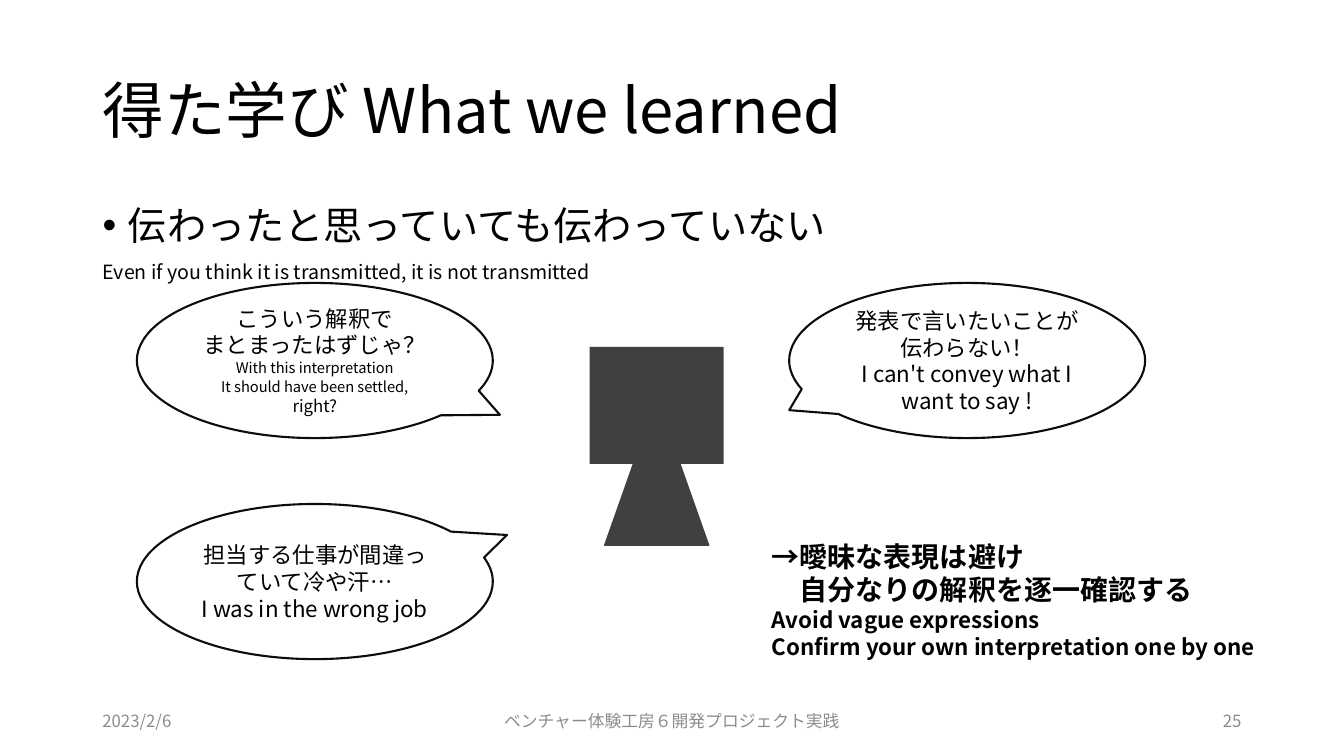
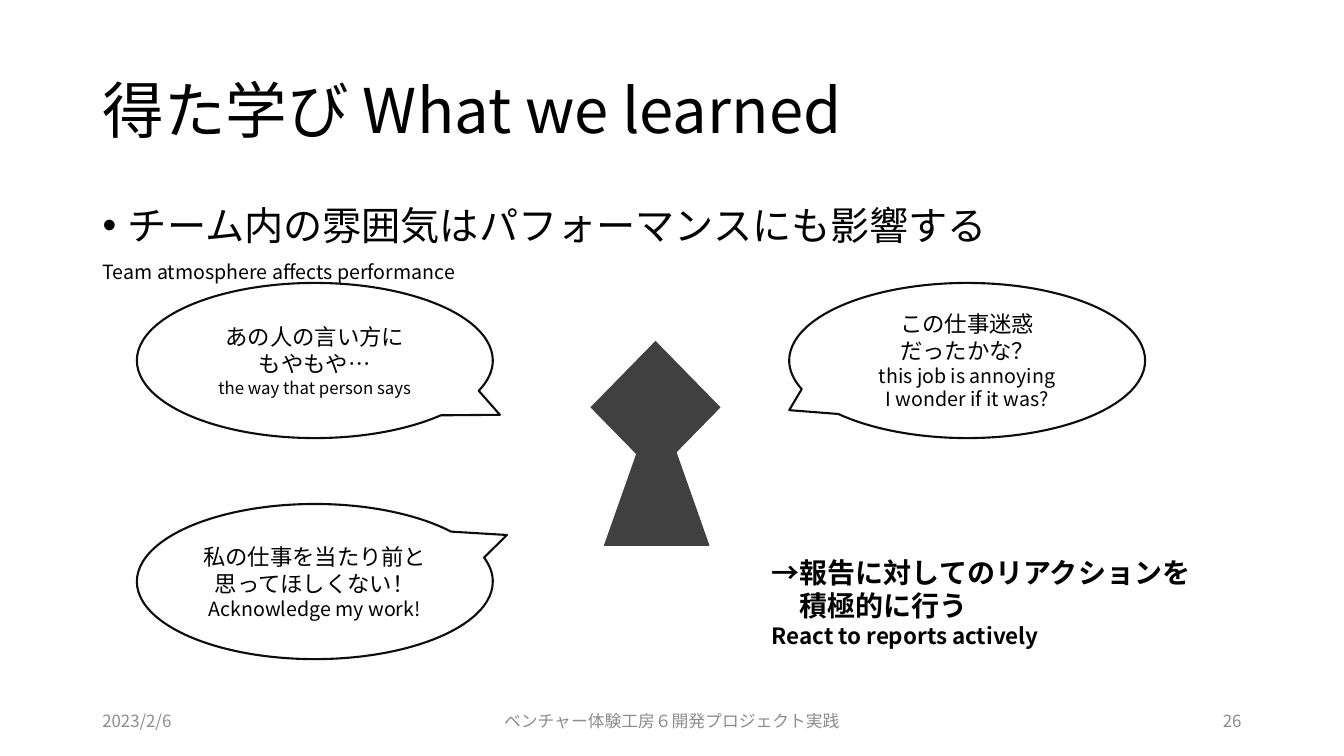
import copy
from dataclasses import dataclass

import pptx
import pptx.dml.color
import pptx.enum.shapes
import pptx.enum.text
import pptx.oxml
import pptx.oxml.ns
import pptx.util
from pptx.util import Cm

FONT = "Noto Sans CJK JP"
BLACK = "000000"
FOOTER_GRAY = "8C8C8C"
OUTLINE = "0D0D0D"
FIGURE_GRAY = "404040"

SLIDE_WIDTH, SLIDE_HEIGHT = 33.87, 19.05
MARGIN = 2.33
CONTENT_WIDTH = SLIDE_WIDTH - 2 * MARGIN
FOOTER_TOP, FOOTER_HEIGHT = 17.66, 1.01
SIDE_FOOTER_WIDTH, CENTER_FOOTER_WIDTH = 7.62, 11.43

TITLE = "得た学び What we learned"
DATE = "2023/2/6"
COURSE = "ベンチャー体験工房６開発プロジェクト実践"

SHAPE = pptx.enum.shapes.MSO_SHAPE
ALIGN = pptx.enum.text.PP_ALIGN
ANCHOR = pptx.enum.text.MSO_ANCHOR


@dataclass(frozen=True)
class Box:
    left: float
    top: float
    width: float
    height: float

    def lengths(self) -> tuple:
        return Cm(self.left), Cm(self.top), Cm(self.width), Cm(self.height)


@dataclass(frozen=True)
class Line:
    text: str
    size: float = 16
    continued: bool = False


@dataclass(frozen=True)
class Bubble:
    box: Box
    tail: tuple[float, float]


@dataclass(frozen=True)
class Lesson:
    number: int
    heading: str
    translation: str
    speeches: tuple[tuple[Line, ...], ...]
    takeaway: tuple[Line, ...]
    takeaway_box: Box
    head: SHAPE
    head_box: Box


BUBBLE_WIDTH, BUBBLE_HEIGHT = 8.97, 3.91
BUBBLES = tuple(
    Bubble(Box(left, top, BUBBLE_WIDTH, BUBBLE_HEIGHT), tail)
    for left, top, tail in (
        (3.45, 7.13, (0.52, 0.35)),
        (3.45, 12.7, (0.54, -0.3)),
        (19.89, 7.13, (-0.5, 0.32)),
    )
)
TORSO_BOX = Box(15.24, 10.03, 2.62, 3.71)

LESSONS = (
    Lesson(
        number=25,
        heading="伝わったと思っていても伝わっていない",
        translation="Even if you think it is transmitted, it is not transmitted",
        speeches=(
            (
                Line("こういう解釈で"),
                Line("まとまったはずじゃ？"),
                Line("With this interpretation\nIt should have been settled,", 10.5),
                Line(" right?", 12, continued=True),
            ),
            (Line("担当する仕事が間違っていて冷や汗…"), Line("I was in the wrong job")),
            (
                Line("発表で言いたいことが伝わらない！"),
                Line("I can't convey what I want to say !"),
            ),
        ),
        takeaway=(
            Line("→曖昧な表現は避け", 20),
            Line("　自分なりの解釈を逐一確認する", 20),
            Line("Avoid vague expressions\nConfirm your own interpretation one by one"),
        ),
        takeaway_box=Box(19.2, 12.75, 13.54, 4.72),
        head=SHAPE.RECTANGLE,
        head_box=Box(14.86, 8.74, 3.38, 2.95),
    ),
    Lesson(
        number=26,
        heading="チーム内の雰囲気はパフォーマンスにも影響する",
        translation="Team atmosphere affects performance",
        speeches=(
            (
                Line("あの人の言い方に"),
                Line("もやもや…"),
                Line("the way that person says", 12),
            ),
            (
                Line("私の仕事を当たり前と"),
                Line("思ってほしくない！"),
                Line("Acknowledge my work!", 14),
            ),
            (
                Line("この仕事迷惑"),
                Line("だったかな？"),
                Line("this job is annoying\nI wonder if it was?", 14),
            ),
        ),
        takeaway=(
            Line("→報告に対してのリアクションを", 20),
            Line("　積極的に行う", 20),
            Line("React to reports actively"),
        ),
        takeaway_box=Box(19.2, 13.74, 13.54, 2.87),
        head=SHAPE.DIAMOND,
        head_box=Box(14.88, 8.59, 3.28, 3.35),
    ),
)


def color(value: str) -> pptx.dml.color.RGBColor:
    return pptx.dml.color.RGBColor.from_string(value)


def write(text_frame, text: str, *, size: float, color_hex: str = BLACK,
          bold: bool = False, align=ALIGN.LEFT, line_spacing: float = 1.0,
          space_before: float = 0, continued: bool = False):
    paragraph = text_frame.paragraphs[-1]
    if paragraph.runs and not continued:
        paragraph = text_frame.add_paragraph()
    paragraph.alignment = align
    paragraph.line_spacing = line_spacing
    paragraph.space_before = pptx.util.Pt(space_before)
    for index, part in enumerate(text.split("\n")):
        if index:
            properties = copy.deepcopy(paragraph.runs[-1].font._element)
            paragraph.add_line_break()
            paragraph._p[-1].append(properties)
        run = paragraph.add_run()
        run.text = part
        run.font.size = pptx.util.Pt(size)
        run.font.bold = bold
        run.font.name = FONT
        run.font.color.rgb = color(color_hex)
        east_asian = pptx.oxml.parse_xml(
            f'<a:ea {pptx.oxml.ns.nsdecls("a")} typeface="{FONT}"/>'
        )
        run.font._element.append(east_asian)
    return paragraph


def write_lines(text_frame, lines: tuple[Line, ...], **formatting) -> None:
    for line in lines:
        write(text_frame, line.text, size=line.size, continued=line.continued, **formatting)


def set_bullet(paragraph, character: str = "") -> None:
    properties = paragraph._p.get_or_add_pPr()
    indent = Cm(0.64) if character else 0
    properties.set("marL", str(indent))
    properties.set("indent", str(-indent))
    tag = f'buChar char="{character}"' if character else "buNone"
    properties.append(
        pptx.oxml.parse_xml(f'<a:{tag} {pptx.oxml.ns.nsdecls("a")}/>'.replace("a:buChar char", "a:buChar char"))
        if not character
        else pptx.oxml.parse_xml(f'<a:{tag} {pptx.oxml.ns.nsdecls("a")}/>')
    )


def prepare_frame(shape, anchor=ANCHOR.MIDDLE):
    text_frame = shape.text_frame
    text_frame.word_wrap = True
    text_frame.auto_size = pptx.enum.text.MSO_AUTO_SIZE.NONE
    text_frame.vertical_anchor = anchor
    return text_frame


def place(shape, box: Box) -> None:
    shape.left, shape.top, shape.width, shape.height = box.lengths()


def add_text_box(slide, box: Box):
    return prepare_frame(slide.shapes.add_textbox(*box.lengths()))


def add_shape(slide, kind: SHAPE, box: Box, *, fill: str = "", line: str = "",
              line_width: float = 1):
    shape = slide.shapes.add_shape(kind, *box.lengths())
    shape.shadow.inherit = False
    if fill:
        shape.fill.solid()
        shape.fill.fore_color.rgb = color(fill)
    else:
        shape.fill.background()
    if line:
        shape.line.color.rgb = color(line)
        shape.line.width = pptx.util.Pt(line_width)
    else:
        shape.line.fill.background()
    return shape


def add_title_and_body(slide, lesson: Lesson) -> None:
    title = slide.shapes.title
    place(title, Box(MARGIN, 1.02, CONTENT_WIDTH, 3.68))
    write(prepare_frame(title), TITLE, size=44, line_spacing=0.9)

    body = slide.placeholders[1]
    place(body, Box(MARGIN, 5.08, CONTENT_WIDTH, 2.67))
    text_frame = prepare_frame(body, ANCHOR.TOP)
    for text, size, bullet in ((lesson.heading, 28, "•"), (lesson.translation, 14, "")):
        paragraph = write(text_frame, text, size=size, line_spacing=0.9, space_before=10)
        set_bullet(paragraph, bullet)


def add_footers(slide, number: int) -> None:
    center_left = (SLIDE_WIDTH - CENTER_FOOTER_WIDTH) / 2
    right_left = SLIDE_WIDTH - MARGIN - SIDE_FOOTER_WIDTH
    for text, left, width, align in (
        (DATE, MARGIN, SIDE_FOOTER_WIDTH, ALIGN.LEFT),
        (COURSE, center_left, CENTER_FOOTER_WIDTH, ALIGN.CENTER),
        (str(number), right_left, SIDE_FOOTER_WIDTH, ALIGN.RIGHT),
    ):
        text_frame = add_text_box(slide, Box(left, FOOTER_TOP, width, FOOTER_HEIGHT))
        write(text_frame, text, size=12, color_hex=FOOTER_GRAY, align=align)


def add_bubble(slide, bubble: Bubble, lines: tuple[Line, ...]) -> None:
    shape = add_shape(slide, SHAPE.OVAL_CALLOUT, bubble.box, line=OUTLINE, line_width=1.5)
    for index, value in enumerate(bubble.tail):
        shape.adjustments[index] = value
    write_lines(prepare_frame(shape), lines, align=ALIGN.CENTER)


def add_lesson(presentation, lesson: Lesson) -> None:
    slide = presentation.slides.add_slide(presentation.slide_layouts[1])
    add_title_and_body(slide, lesson)
    add_footers(slide, lesson.number)
    for bubble, lines in zip(BUBBLES, lesson.speeches):
        add_bubble(slide, bubble, lines)
    add_shape(slide, SHAPE.ISOSCELES_TRIANGLE, TORSO_BOX, fill=FIGURE_GRAY, line=FIGURE_GRAY)
    write_lines(add_text_box(slide, lesson.takeaway_box), lesson.takeaway, bold=True)
    add_shape(slide, lesson.head, lesson.head_box, fill=FIGURE_GRAY)


def main() -> None:
    presentation = pptx.Presentation()
    presentation.slide_width = Cm(SLIDE_WIDTH)
    presentation.slide_height = Cm(SLIDE_HEIGHT)
    for lesson in LESSONS:
        add_lesson(presentation, lesson)
    presentation.save("out.pptx")


if __name__ == "__main__":
    main()
